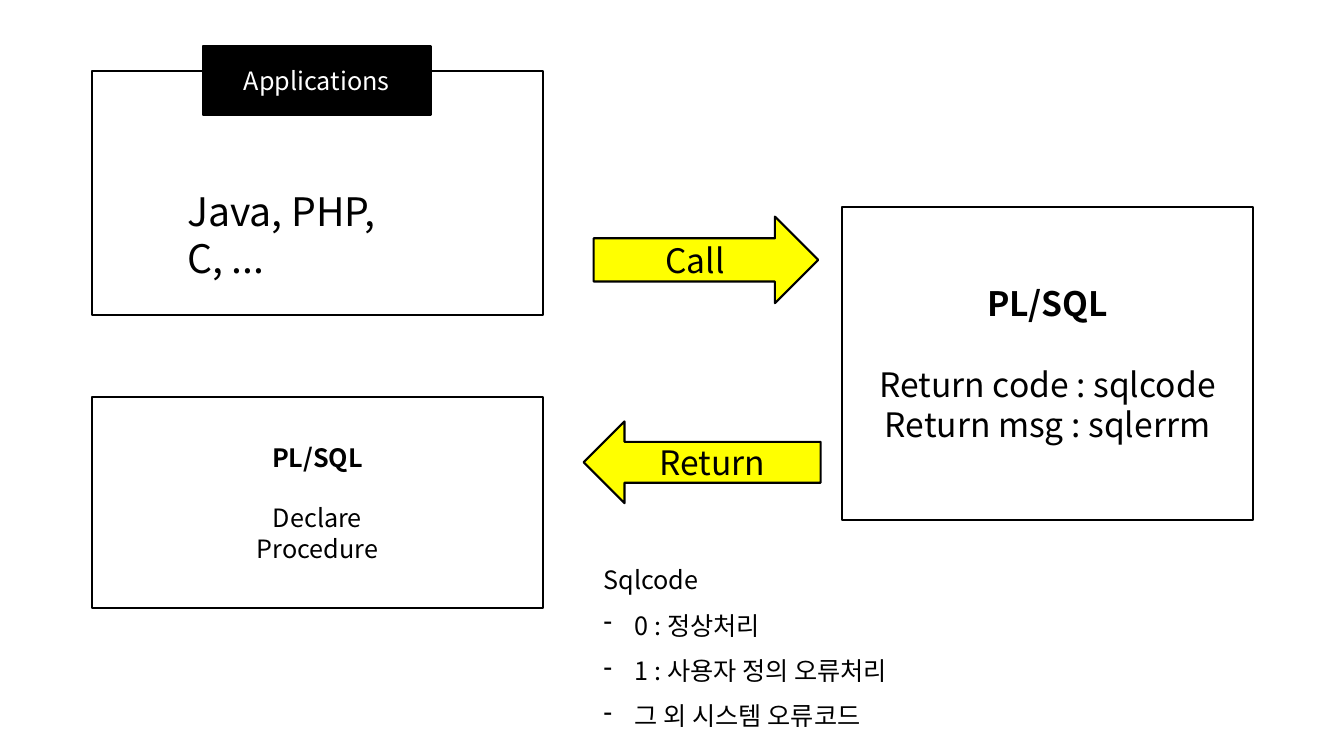
from lxml import etree
from pptx import Presentation
from pptx.dml.color import RGBColor
from pptx.enum.shapes import MSO_SHAPE
from pptx.enum.text import MSO_ANCHOR, PP_ALIGN
from pptx.oxml.ns import qn
from pptx.util import Cm, Pt

RECT = MSO_SHAPE.RECTANGLE
RIGHT = MSO_SHAPE.RIGHT_ARROW
LEFT = MSO_SHAPE.LEFT_ARROW
MIDDLE = MSO_ANCHOR.MIDDLE
CENTER = PP_ALIGN.CENTER

BLACK, WHITE, YELLOW = "000000", "FFFFFF", "FFFF00"


def color(code):
    return RGBColor.from_string(code)


class Board:
    font = "Noto Sans CJK KR"
    border = Pt(1.5)
    leading = 1.2

    def __init__(self, slide):
        self.slide = slide

    def label(self, frame, lines, size, ink=BLACK):
        frame.word_wrap = True
        frame.text = "\n".join(lines)
        for para in frame.paragraphs:
            for run in para.runs:
                run.font.size = Pt(size)
                run.font.name = self.font
                run.font.color.rgb = color(ink)
                east = etree.SubElement(run.font._element, qn("a:ea"))
                east.set("typeface", self.font)
        return frame.paragraphs

    def shape(self, kind, area, lines=(), size=18, fill=None, ink=BLACK):
        item = self.slide.shapes.add_shape(kind, *map(Cm, area))
        item.shadow.inherit = False
        if fill:
            item.fill.solid()
            item.fill.fore_color.rgb = color(fill)
        else:
            item.fill.background()
        item.line.color.rgb = color(BLACK)
        item.line.width = self.border
        frame = item.text_frame
        frame.vertical_anchor = MIDDLE
        paras = self.label(frame, lines, size, ink)
        for para in paras:
            para.alignment = CENTER
        return paras

    def panel(self, area, lines, size):
        """Box with a bold title and a one-line gap below it."""
        title, body = self.shape(RECT, area, lines, size)[:2]
        title.runs[0].font.bold = True
        body.space_before = Pt(size * self.leading)

    def text(self, area, lines, size):
        box = self.slide.shapes.add_textbox(*map(Cm, area))
        return self.label(box.text_frame, lines, size)

    def notes(self, area, lines, size):
        """Heading followed by dashed items."""
        paras = self.text(area, lines, size)
        for para in paras:
            para.line_spacing = 1.5
        for para in paras[1:]:
            props = para._p.get_or_add_pPr()
            props.set("marL", str(Cm(0.79)))
            props.set("indent", str(-Cm(0.79)))
            etree.SubElement(props, qn("a:buChar")).set("char", "-")


def main():
    deck = Presentation()
    deck.slide_width, deck.slide_height = Cm(33.87), Cm(19.05)
    board = Board(deck.slides.add_slide(deck.slide_layouts[6]))

    # Boxes: applications, server block, declaration block
    board.shape(RECT, (2.31, 1.78, 11.38, 6.17))
    board.panel((21.23, 5.21, 10.34, 7.9),
                ["PL/SQL", "Return code : sqlcode", "Return msg : sqlerrm"], 24)
    board.text((4.47, 4.6, 7.04, 1.45), ["Java, PHP, C, ..."], 28)

    # Return code list
    board.notes((14.96, 13.72, 8.48, 4.72),
                ["Sqlcode", "0 : 정상처리", "1 : 사용자 정의 오류처리",
                 "그 외 시스템 오류코드"], 18)

    board.panel((2.31, 10.01, 11.38, 5.31),
                ["PL/SQL", "Declare", "Procedure"], 18)

    # Label on the applications box
    board.shape(RECT, (5.11, 1.17, 5.74, 1.73), ["Applications"], 18,
                BLACK, WHITE)

    # Call and return arrows
    board.shape(RIGHT, (14.96, 5.46, 5.66, 2.18), ["Call"], 24, YELLOW)
    board.shape(LEFT, (14.71, 10.62, 5.97, 2.06), ["Return"], 24, YELLOW)

    deck.save("out.pptx")


if __name__ == "__main__":
    main()
